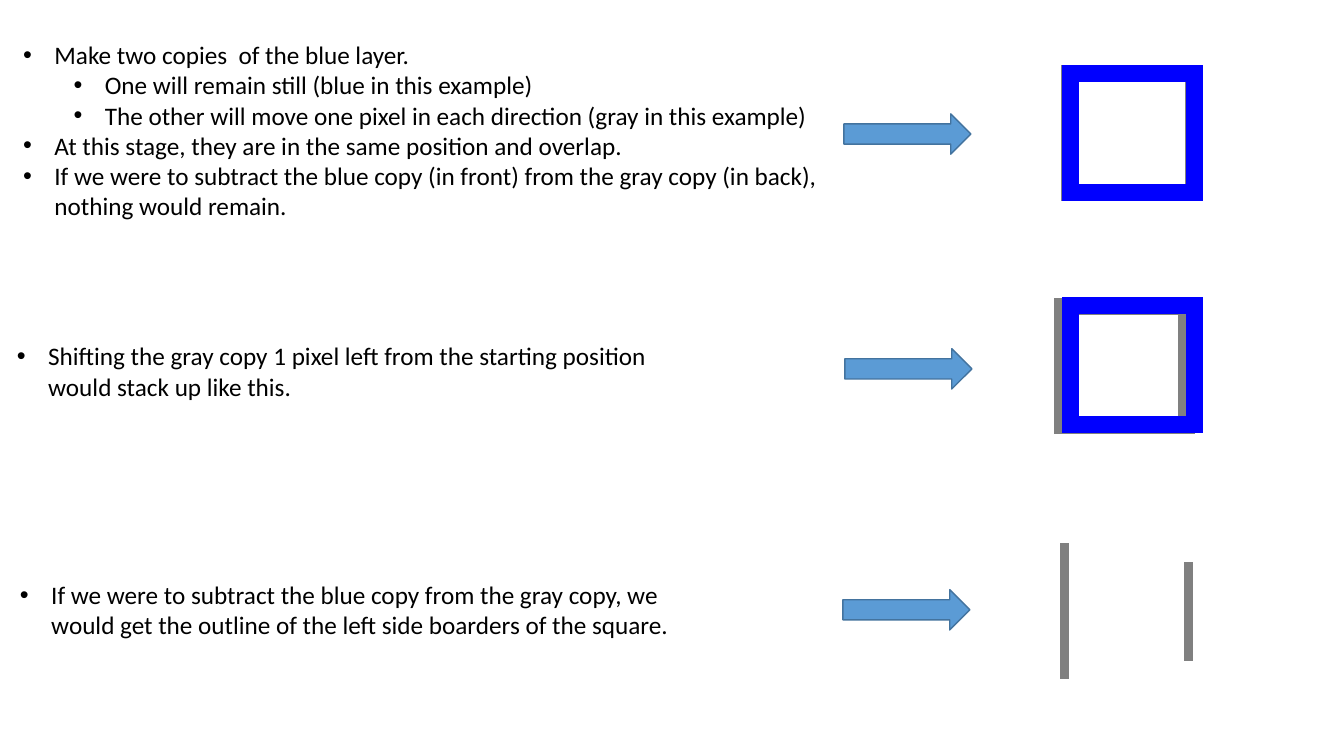
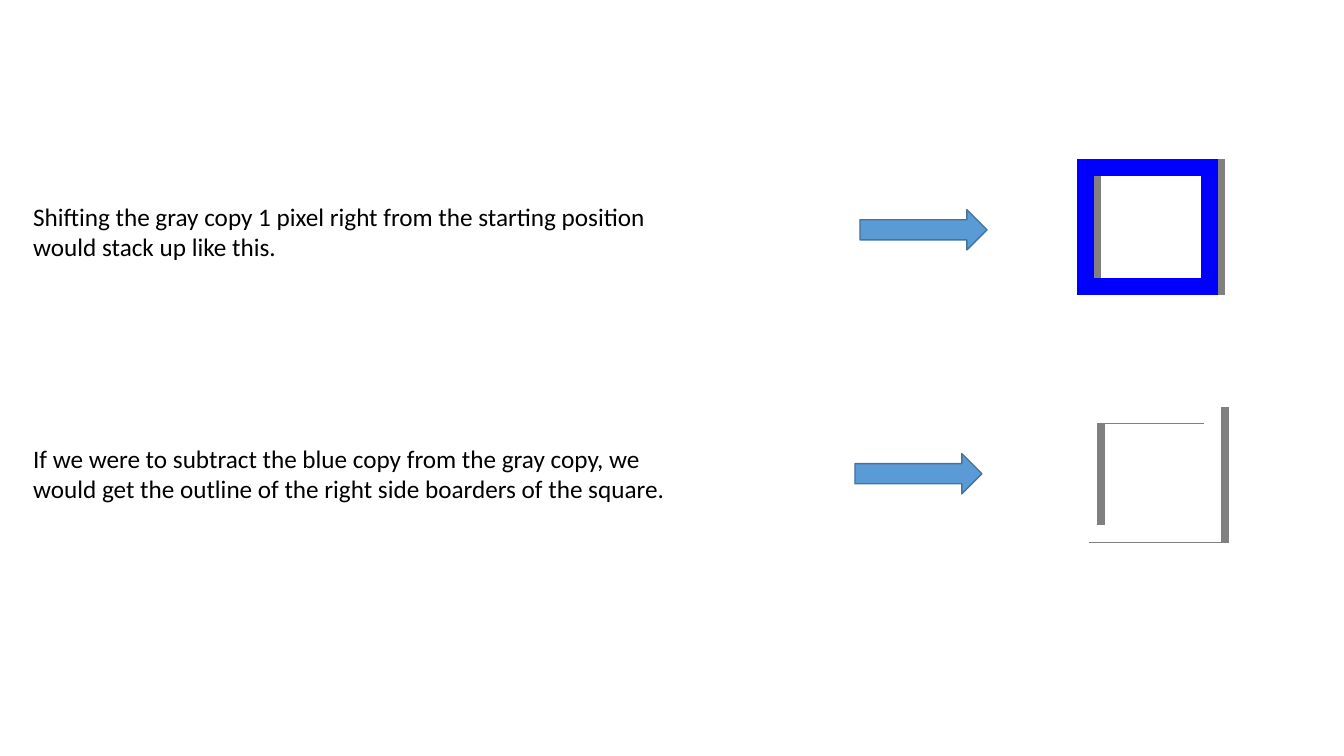
from lxml.etree import SubElement
from pptx import Presentation
from pptx.dml.color import RGBColor
from pptx.enum.shapes import MSO_SHAPE
from pptx.enum.text import MSO_ANCHOR, MSO_AUTO_SIZE
from pptx.oxml.ns import qn
from pptx.util import Inches, Pt

BLACK, WHITE, GRAY, BLUE = "000000", "FFFFFF", "808080", "0000FF"
ARROW_FILL, ARROW_LINE = "5B9BD5", "43739E"
FONT = "Calibri"
SQUARE_WIDTH, SQUARE_HEIGHT = 1.23, 1.18
ARROW_WIDTH, ARROW_HEIGHT = 1.26, 0.4
TEXT_WIDTH, TEXT_HEIGHT = 6.67, 0.71
BULLET_INDENT, LEVEL_STEP = 0.31, 0.5

OVERLAP_STEPS = [
    (0, "Make two copies  of the blue layer."),
    (1, "One will remain still (blue in this example)"),
    (1, "The other will move one pixel in each direction (gray in this example)"),
    (0, "At this stage, they are in the same position and overlap."),
    (0, "If we were to subtract the blue copy (in front) from the gray copy "
        "(in back), nothing would remain."),
]


def color(value):
    return RGBColor.from_string(value)


def add_bullet(para, level):
    para.level = level
    properties = para._p.get_or_add_pPr()
    properties.set("marL", str(Inches(BULLET_INDENT + level * LEVEL_STEP)))
    properties.set("indent", str(-Inches(BULLET_INDENT)))
    SubElement(properties, qn("a:buFont")).set("typeface", "Arial")
    SubElement(properties, qn("a:buChar")).set("char", "•")


def fill_text(box, lines, bulleted):
    frame = box.text_frame
    frame.word_wrap = True
    frame.auto_size = MSO_AUTO_SIZE.NONE
    frame.vertical_anchor = MSO_ANCHOR.TOP
    for index, (level, text) in enumerate(lines):
        para = frame.add_paragraph() if index else frame.paragraphs[0]
        para.space_before = para.space_after = Pt(0)
        if bulleted:
            add_bullet(para, level)
        span = para.add_run()
        span.text = text
        span.font.name = FONT
        span.font.size = Pt(18)
        span.font.color.rgb = color(BLACK)


def add_text(page, left, top, text, bulleted=False):
    box = page.shapes.add_textbox(
        Inches(left), Inches(top), Inches(TEXT_WIDTH), Inches(TEXT_HEIGHT))
    fill_text(box, [(0, text)], bulleted)


def fill_body(page, left, top, width, height, lines):
    body = page.placeholders[1]
    body.left, body.top = Inches(left), Inches(top)
    body.width, body.height = Inches(width), Inches(height)
    fill_text(body, lines, True)


def add_arrow(page, left, top):
    arrow = page.shapes.add_shape(
        MSO_SHAPE.RIGHT_ARROW, Inches(left), Inches(top),
        Inches(ARROW_WIDTH), Inches(ARROW_HEIGHT))
    arrow.shadow.inherit = False
    arrow.fill.solid()
    arrow.fill.fore_color.rgb = color(ARROW_FILL)
    arrow.line.color.rgb = color(ARROW_LINE)
    arrow.line.width = Pt(1)


def add_square(page, left, top, outline, weight=12):
    square = page.shapes.add_shape(
        MSO_SHAPE.RECTANGLE, Inches(left), Inches(top),
        Inches(SQUARE_WIDTH), Inches(SQUARE_HEIGHT))
    square.shadow.inherit = False
    square.fill.background()
    square.line.color.rgb = color(outline)
    square.line.width = Pt(weight)
    SubElement(square.get_or_add_ln(), qn("a:miter")).set("lim", "800000")


def build_left_shift(deck):
    page = deck.slides.add_slide(deck.slide_layouts[1])
    title = page.shapes.title.element
    title.getparent().remove(title)

    fill_body(page, 0.13, 0.34, 8.23, 2.22, OVERLAP_STEPS)
    add_arrow(page, 8.37, 1.13)
    add_square(page, 10.61, 0.73, GRAY)
    add_square(page, 10.62, 0.73, BLUE)

    add_text(page, 0.07, 3.33, "Shifting the gray copy 1 pixel left from the "
             "starting position would stack up like this.", True)
    add_arrow(page, 8.38, 3.46)
    add_square(page, 10.54, 3.04, GRAY)
    add_square(page, 10.62, 3.03, BLUE)

    add_text(page, 0.1, 5.7, "If we were to subtract the blue copy from the gray copy, "
             "we would get the outline of the left side boarders of the square.", True)
    add_arrow(page, 8.36, 5.85)
    add_square(page, 10.6, 5.47, GRAY)
    add_square(page, 10.7, 5.48, WHITE, 14)


def build_right_shift(deck):
    page = deck.slides.add_slide(deck.slide_layouts[6])
    add_text(page, 0.23, 1.95, "Shifting the gray copy 1 pixel right from the "
             "starting position would stack up like this.")
    add_arrow(page, 8.53, 2.08)
    add_square(page, 10.84, 1.66, GRAY)
    add_square(page, 10.77, 1.66, BLUE)

    add_text(page, 0.23, 4.35, "If we were to subtract the blue copy from the gray copy, "
             "we would get the outline of the right side boarders of the square.")
    add_arrow(page, 8.48, 4.5)
    add_square(page, 10.88, 4.12, GRAY)
    add_square(page, 10.8, 4.11, WHITE)


def main():
    deck = Presentation()
    deck.slide_width, deck.slide_height = Inches(13.33), Inches(7.5)
    build_left_shift(deck)
    build_right_shift(deck)
    deck.save("out.pptx")


if __name__ == "__main__":
    main()
